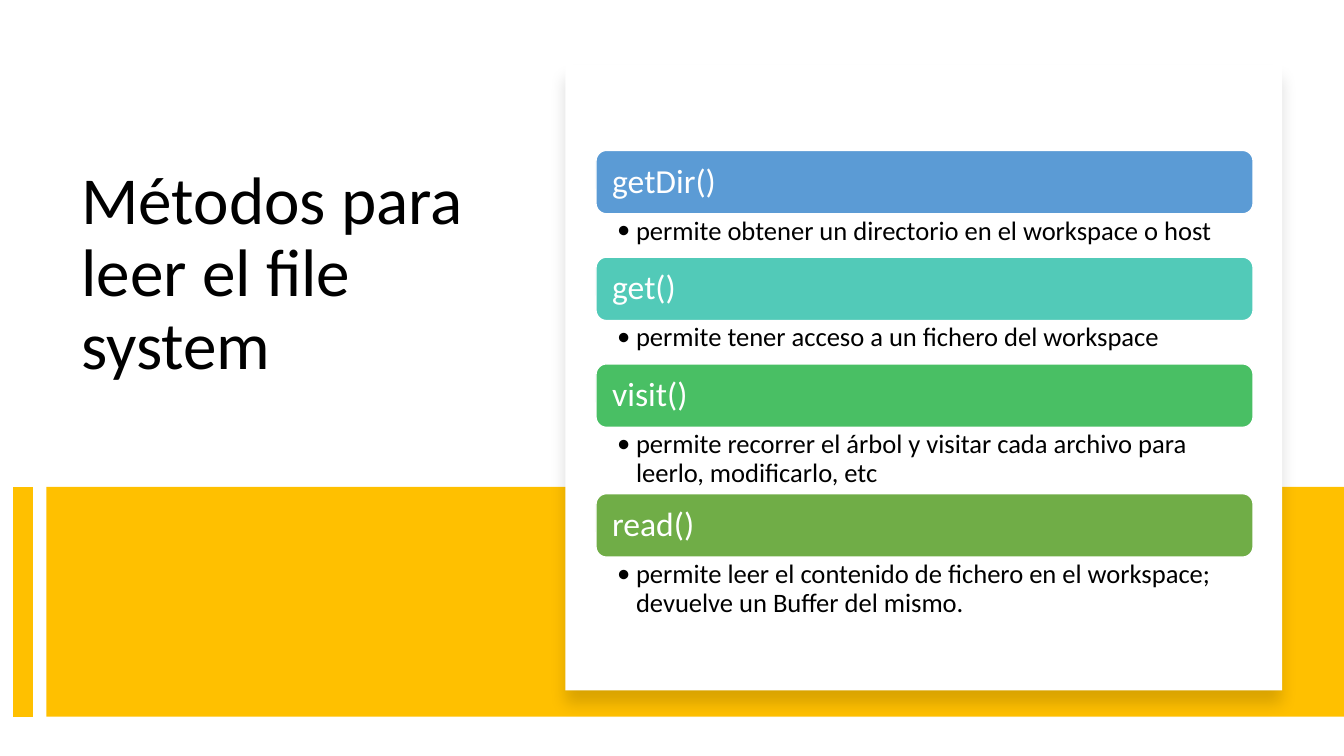
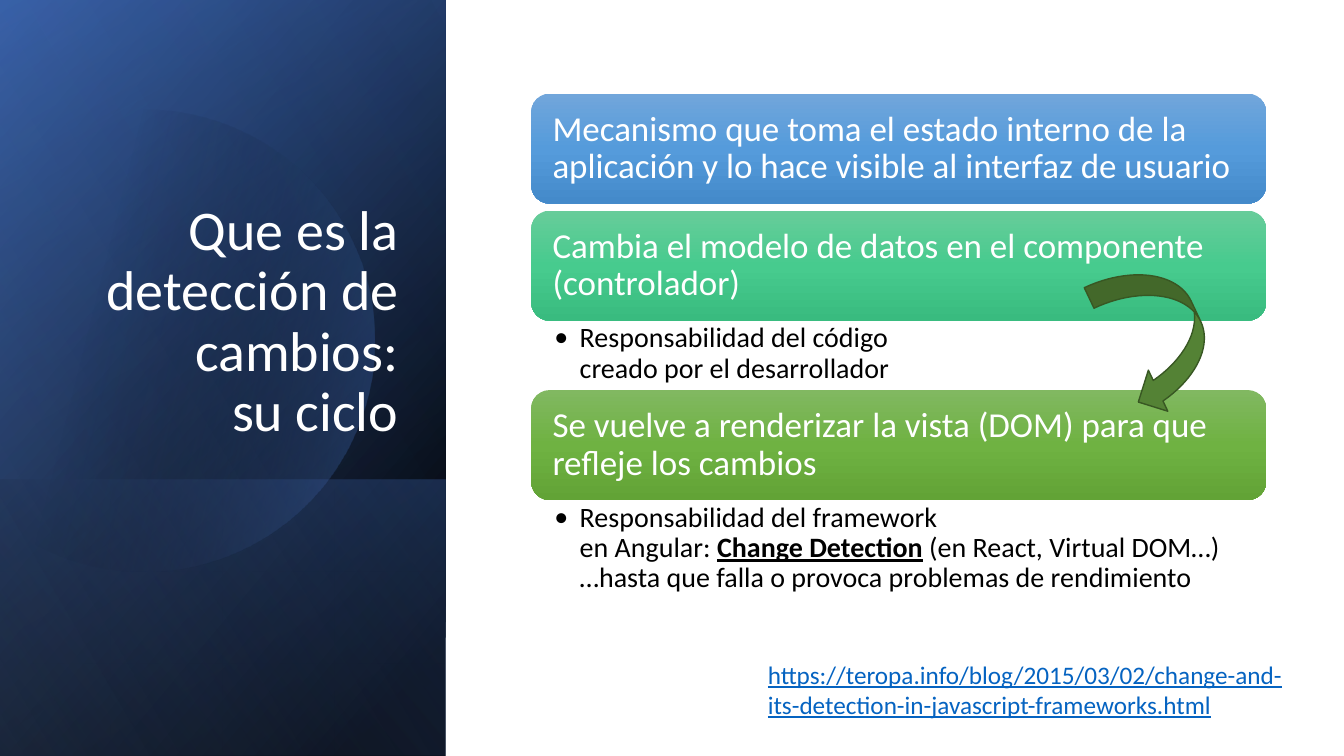
import math

from pptx import Presentation
from pptx.dml.color import RGBColor
from pptx.enum.shapes import MSO_CONNECTOR, MSO_SHAPE
from pptx.enum.text import MSO_ANCHOR, MSO_AUTO_SIZE, PP_ALIGN
from pptx.oxml import parse_xml
from pptx.oxml.ns import nsdecls, qn
from pptx.util import Cm, Pt

RECT, ROUND = MSO_SHAPE.RECTANGLE, MSO_SHAPE.ROUNDED_RECTANGLE
CURVED_ARROW = MSO_SHAPE.CURVED_LEFT_ARROW
STRAIGHT = MSO_CONNECTOR.STRAIGHT
TOP, MIDDLE, BOTTOM = MSO_ANCHOR.TOP, MSO_ANCHOR.MIDDLE, MSO_ANCHOR.BOTTOM
LEFT, RIGHT = PP_ALIGN.LEFT, PP_ALIGN.RIGHT
NO_FIT = MSO_AUTO_SIZE.NONE

TITLE_ONLY = 5
FONT = "Calibri"
INSETS = (0.25, 0.13, 0.25, 0.13)
COLORS = {
    "black": "000000", "white": "FFFFFF", "amber": "FFC000",
    "blue": "5B9BD5", "teal": "52CAB8", "emerald": "49BF64", "green": "70AD47",
    "navy": "2F5597", "royal": "4472C4", "sky": "8FAADC",
    "arrow": "548235", "arrow_edge": "385723", "link": "0563C1",
}
# Gradient stops: position, colour, opacity (percent)
BLUE_FADE = [(0, "71A6DB", 100), (50, "559BDB", 100), (100, "448ACA", 100)]
MINT_FADE = [(0, "67CC9A", 100), (50, "47CB8E", 100), (100, "39BB7F", 100)]
GREEN_FADE = [(0, "81B861", 100), (50, "6FB242", 100), (100, "62A336", 100)]


def rgb(name):
    return RGBColor.from_string(COLORS[name])


class Deck:
    """Holds the style and the current slide."""

    def __init__(self):
        self.prs = Presentation()
        self.prs.slide_width, self.prs.slide_height = Cm(33.87), Cm(19.05)
        self.s = None

    def slide(self):
        self.s = self.prs.slides.add_slide(self.prs.slide_layouts[TITLE_ONLY])

    def frame(self, sp, anchor=TOP, insets=INSETS):
        tf = sp.text_frame
        tf.word_wrap, tf.auto_size, tf.vertical_anchor = True, NO_FIT, anchor
        (tf.margin_left, tf.margin_top,
         tf.margin_right, tf.margin_bottom) = map(Cm, insets)
        return tf.paragraphs[0]

    def add_runs(self, p, runs, size, color, align=LEFT, spacing=0.9):
        """Each run is a (text, emphasised) pair; a newline is a line break."""
        p.alignment, p.line_spacing = align, spacing
        for text, strong in runs:
            for i, line in enumerate(text.split("\n")):
                if i:
                    p.add_line_break()
                if line:
                    r = p.add_run()
                    r.text = line
                    r.font.name, r.font.size = FONT, Pt(size)
                    r.font.color.rgb = rgb(color)
                    if strong:
                        r.font.bold = r.font.underline = True
        return p

    def title(self, box, text, size, color, align=LEFT, anchor=TOP):
        sp = self.s.shapes.title
        sp.left, sp.top, sp.width, sp.height = map(Cm, box)
        p = self.frame(sp, anchor)
        self.add_runs(p, [(text, False)], size, color, align)
        # Bring the title in front of the panels
        self.s.shapes.element.append(sp.element)

    def paint(self, sp, fill, angle=90, line=None):
        """Fill with a colour name, or with gradient stops at an angle."""
        sp.shadow.inherit = False
        if isinstance(fill, str):
            sp.fill.solid()
            sp.fill.fore_color.rgb = rgb(fill)
        else:
            stops = "".join(
                f'<a:gs pos="{pos * 1000}"><a:srgbClr val="{COLORS.get(c, c)}">'
                f'<a:alpha val="{alpha * 1000}"/></a:srgbClr></a:gs>'
                for pos, c, alpha in fill)
            sp.fill.background()
            spPr = sp.element.spPr
            spPr.replace(spPr.find(qn("a:noFill")), parse_xml(
                f'<a:gradFill {nsdecls("a")} rotWithShape="1"><a:gsLst>{stops}'
                f'</a:gsLst><a:lin ang="{angle * 60000}" scaled="0"/></a:gradFill>'))
        if line:
            sp.line.color.rgb, sp.line.width = rgb(line), Pt(1)
        else:
            sp.line.fill.background()
        return sp

    def shape(self, kind, box, fill, angle=90, line=None):
        sp = self.s.shapes.add_shape(kind, *map(Cm, box))
        return self.paint(sp, fill, angle, line)

    def card(self, box):
        sp = self.shape(RECT, box, "white")
        spPr = sp.element.spPr
        spPr.replace(spPr.find(qn("a:effectLst")), parse_xml(
            f'<a:effectLst {nsdecls("a")}><a:outerShdw blurRad="{Pt(11)}" '
            f'dist="{Pt(10)}" dir="5400000" algn="t" rotWithShape="0">'
            '<a:srgbClr val="000000"><a:alpha val="15000"/></a:srgbClr>'
            '</a:outerShdw></a:effectLst>'))

    def line(self, x1, y1, x2, y2, color, width):
        cx = self.s.shapes.add_connector(STRAIGHT, *map(Cm, (x1, y1, x2, y2)))
        cx.line.color.rgb, cx.line.width = rgb(color), Pt(width)
        cx.element.spPr.append(parse_xml(f'<a:effectLst {nsdecls("a")}/>'))

    def cut_disc(self, x, y, radius, fill, angle):
        """A disc cut off by the left slide edge."""
        end = math.acos(-x / radius)
        steps = 90
        turns = [end * (2 * i / steps - 1) for i in range(steps + 1)]
        points = [(Cm(max(0, x + radius * math.cos(t))),
                   Cm(y + radius * math.sin(t))) for t in turns]
        fb = self.s.shapes.build_freeform(*points[0])
        fb.add_line_segments(points[1:], close=True)
        self.paint(fb.convert_to_shape(), fill, angle)

    def text(self, box, runs, size, color, insets=INSETS, indent=0, spacing=0.9):
        sp = self.s.shapes.add_textbox(*map(Cm, box))
        p = self.frame(sp, insets=insets)
        if indent:
            pPr = p._p.get_or_add_pPr()
            pPr.set("marL", str(Cm(indent)))
            pPr.set("indent", str(-Cm(indent)))
            pPr.append(parse_xml(f'<a:buFont {nsdecls("a")} typeface="{FONT}"/>'))
            pPr.append(parse_xml(f'<a:buChar {nsdecls("a")} char="•"/>'))
        return self.add_runs(p, runs, size, color, spacing=spacing)

    def stack(self, x, y, w, head_h, pad, sizes, left, indent, items, line=None):
        """Headed bars, each followed by a bullet or by a plain gap."""
        for head, fill, runs, body_h in items:
            bar = self.shape(ROUND, (x, y, w, head_h), fill, line=line)
            p = self.frame(bar, MIDDLE, (pad,) * 4)
            self.add_runs(p, [(head, False)], sizes[0], "white")
            y += head_h
            if runs:
                self.text((x, y, w, body_h), runs, sizes[1], "black",
                          (left, 0.08, 0.48, 0.08), indent)
            y += body_h


def file_system(d):
    d.slide()
    # Amber band and white card
    d.shape(RECT, (1.17, 12.27, 32.7, 5.79), "amber")
    d.line(0.58, 12.27, 0.58, 18.06, "amber", 14)
    d.card((14.25, 1.63, 18.06, 15.77))
    d.title((1.8, 4.06, 10.54, 7.47), "Métodos para leer el file system", 48, "black")
    # Methods
    methods = [
        ("getDir()", "blue", "permite obtener un directorio en el workspace o host", 1.09),
        ("get()", "teal", "permite tener acceso a un fichero del workspace", 1.09),
        ("visit()", "emerald", "permite recorrer el árbol y visitar cada archivo para "
         "leerlo, modificarlo, etc", 1.67),
        ("read()", "green", "permite leer el contenido de fichero en el workspace;\n"
         "devuelve un Buffer del mismo.", 1.67),
    ]
    d.stack(15.02, 3.79, 16.56, 1.6, 0.33, (24, 19), 0.53, 0.48,
            [(head, fill, [(body, False)], h) for head, fill, body, h in methods],
            line="white")


def change_detection(d):
    d.slide()
    # Layered dark panel
    panel = (0, 0, 11.23, 19.05)
    d.shape(RECT, panel, [(8, "black", 100), (100, "navy", 100)], 220)
    d.shape(RECT, panel, [(0, "black", 0), (99, "royal", 46)], 240)
    d.shape(RECT, (0, 12.09, 11.23, 6.96), [(2, "royal", 29), (100, "black", 30)], 140)
    d.cut_disc(3.63, 8.59, 5.82, [(29, "black", 0), (100, "royal", 43)], 14)
    d.shape(RECT, panel, [(0, "black", 0), (99, "sky", 11)], 150)
    d.title((1.63, 4.67, 8.66, 6.65), "Que es la detección de cambios:\nsu ciclo",
            40, "white", RIGHT, BOTTOM)
    # Cycle
    d.stack(13.39, 2.36, 18.52, 2.77, 0.4, (25, 20), 0.58, 0.64, [
        ("Mecanismo que toma el estado interno de la aplicación y lo hace visible "
         "al interfaz de usuario", BLUE_FADE, None, 0.18),
        ("Cambia el modelo de datos en el componente (controlador)", MINT_FADE,
         [("Responsabilidad del código\ncreado por el desarrollador", False)], 1.75),
        ("Se vuelve a renderizar la vista (DOM) para que refleje los cambios", GREEN_FADE,
         [("Responsabilidad del framework\nen Angular: ", False),
          ("Change Detection", True),
          (" (en React, Virtual DOM…)\n…hasta que falla o provoca problemas de "
           "rendimiento", False)], 2.51),
    ])
    arrow = d.shape(CURVED_ARROW, (28.02, 6.58, 2.29, 3.76), "arrow", line="arrow_edge")
    arrow.rotation = 334.7
    # Source address
    p = d.text((19.1, 16.48, 13.79, 1.8),
               [("https://teropa.info/blog/2015/03/02/change-and-its-detection-in-"
                 "javascript-frameworks.html", False)], 18, "link", spacing=1.0)
    p.runs[0].font.underline = True


def main():
    d = Deck()
    file_system(d)
    change_detection(d)
    d.prs.save("out.pptx")


if __name__ == "__main__":
    main()
